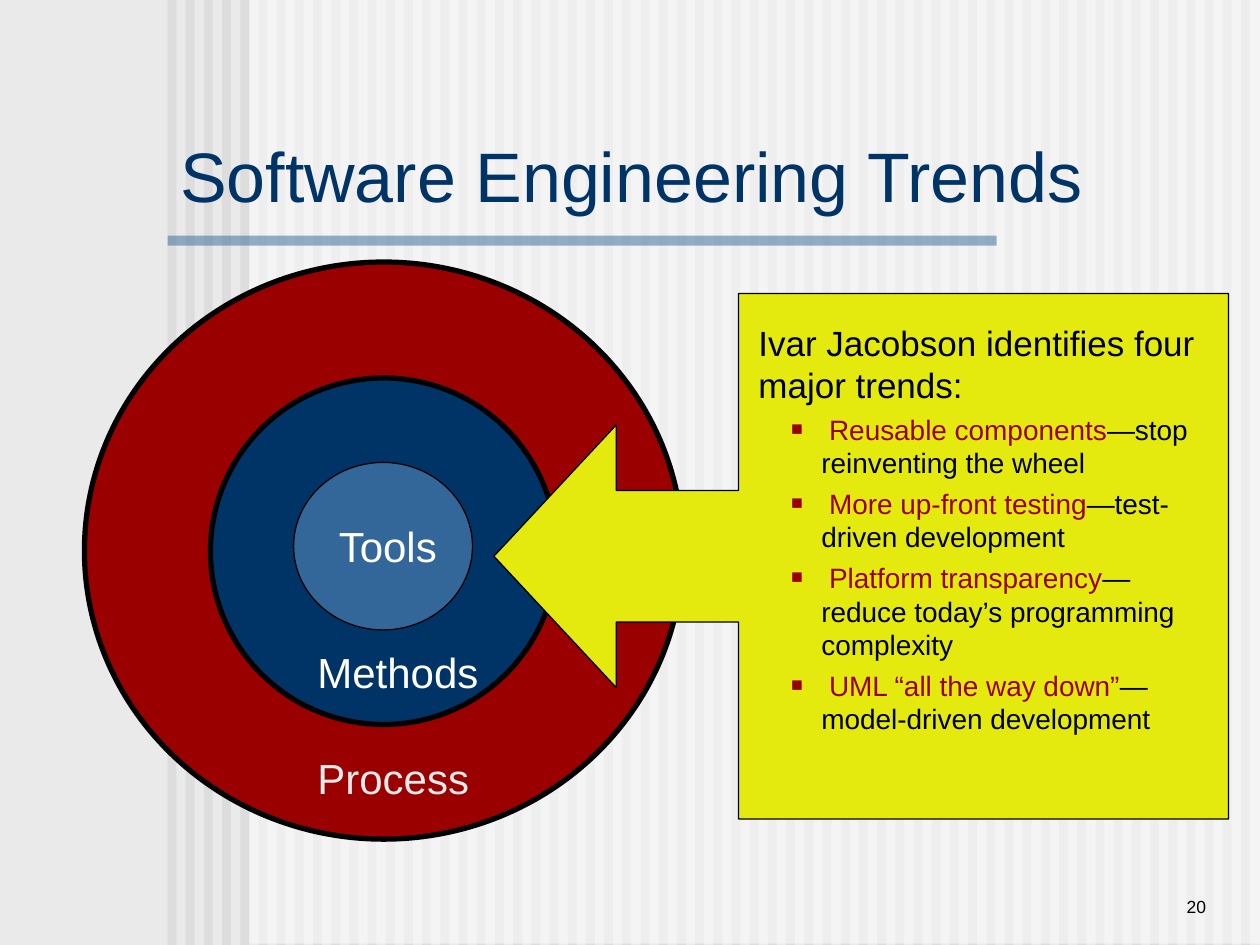
import pptx
import pptx.util
import pptx.dml.color
import pptx.enum.shapes
import pptx.enum.text
import pptx.oxml.ns
import pptx.oxml.xmlchemy

Inches = pptx.util.Inches
Pt = pptx.util.Pt
RGBColor = pptx.dml.color.RGBColor
SHAPE = pptx.enum.shapes.MSO_SHAPE
ANCHOR = pptx.enum.text.MSO_ANCHOR
ALIGN = pptx.enum.text.PP_ALIGN
AUTO_SIZE = pptx.enum.text.MSO_AUTO_SIZE

PALE = RGBColor(0xEA, 0xEA, 0xEA)
STRIPE = RGBColor(0xDD, 0xDD, 0xDD)
WHITE = RGBColor(0xFF, 0xFF, 0xFF)
BLACK = RGBColor(0x00, 0x00, 0x00)
NAVY = RGBColor(0x00, 0x33, 0x66)
BLUE = RGBColor(0x33, 0x66, 0x99)
RED = RGBColor(0x9A, 0x00, 0x00)
YELLOW = RGBColor(0xE4, 0xEA, 0x0E)

prs = pptx.Presentation()
prs.slide_width = Inches(10)
prs.slide_height = Inches(7.5)
slide = prs.slides.add_slide(prs.slide_layouts[5])
slide.background.fill.solid()
slide.background.fill.fore_color.rgb = PALE


def add_figure(preset, box, color, outline=None, alpha=None):
    figure = slide.shapes.add_shape(preset, *[Inches(v) for v in box])
    figure.shadow.inherit = False
    figure.fill.solid()
    figure.fill.fore_color.rgb = color
    if alpha:
        opacity = pptx.oxml.xmlchemy.OxmlElement("a:alpha")
        opacity.set("val", str(alpha * 1000))
        figure.element.spPr.find(".//" + pptx.oxml.ns.qn("a:srgbClr")).append(opacity)
    if outline:
        figure.line.color.rgb = BLACK
        figure.line.width = Pt(outline)
    else:
        figure.line.fill.background()
    return figure


def add_run(paragraph, text, size, color):
    run = paragraph.add_run()
    run.text = text
    for name, value in {"name": "Arial", "size": Pt(size)}.items():
        setattr(run.font, name, value)
    run.font.color.rgb = color


stripe_count = 60
stripe_step = (9.85 - 1.33) / (stripe_count - 1)
for i in range(stripe_count):
    add_figure(SHAPE.RECTANGLE, (1.33 + i * stripe_step, 0, 0.07, 7.5), STRIPE)
add_figure(SHAPE.RECTANGLE, (1.98, 0, 8.02, 7.49), WHITE, alpha=50)
add_figure(SHAPE.RECTANGLE, (1.33, 1.87, 6.58, 0.08), BLUE, alpha=50)

title = slide.shapes.title
title.element.getparent().append(title.element)
title_place = {"left": 1.33, "top": 1.08, "width": 8.42, "height": 0.69}
for name, value in title_place.items():
    setattr(title, name, Inches(value))
title.text_frame.vertical_anchor = ANCHOR.BOTTOM
title.text_frame.paragraphs[0].alignment = ALIGN.LEFT
add_run(title.text_frame.paragraphs[0], "Software Engineering Trends", 40, NAVY)

for box, color, outline in [
    ((0.67, 2.08, 4.75, 4.58), RED, 3),
    ((1.67, 3, 2.75, 2.75), NAVY, 3),
    ((2.33, 3.67, 1.42, 1.33), BLUE, 0.75),
]:
    add_figure(SHAPE.OVAL, box, color, outline)

ring_label = {"word_wrap": False, "auto_size": AUTO_SIZE.SHAPE_TO_FIT_TEXT}
page_number = {"word_wrap": True, "vertical_anchor": ANCHOR.BOTTOM}
for text, box, size, color, alignment, formats in [
    ("Tools", (2.59, 4.08, 1.01, 0.5), 24, WHITE, ALIGN.LEFT, ring_label),
    ("Methods", (2.42, 5.08, 1.48, 0.5), 24, WHITE, ALIGN.LEFT, ring_label),
    ("Process", (2.42, 5.92, 1.42, 0.5), 24, PALE, ALIGN.LEFT, ring_label),
    ("20", (8.25, 6.83, 1.42, 0.5), 10, BLACK, ALIGN.RIGHT, page_number),
]:
    frame = slide.shapes.add_textbox(*[Inches(v) for v in box]).text_frame
    for name, value in formats.items():
        setattr(frame, name, value)
    frame.paragraphs[0].alignment = alignment
    add_run(frame.paragraphs[0], text, size, color)

callout = add_figure(SHAPE.LEFT_ARROW_CALLOUT, (3.92, 2.33, 5.83, 4.17), YELLOW, 0.75)
for i, value in enumerate((0.25, 0.25, 0.233, 0.667)):
    callout.adjustments[i] = value

trends = slide.shapes.add_textbox(
    Inches(5.92), Inches(2.5), Inches(3.75), Inches(3.8)).text_frame
trends.word_wrap = True
intro = trends.paragraphs[0]
intro.space_before = Pt(5)
add_run(intro, "Ivar Jacobson identifies four major trends:", 20, BLACK)

bullet_format = {"level": 1, "space_before": Pt(4)}
for trend, detail in [
    (" Reusable components", "—stop reinventing the wheel"),
    (" More up-front testing", "—test-driven development"),
    (" Platform transparency", "— reduce today’s programming complexity"),
    (" UML “all the way down”", "— model-driven development"),
]:
    item = trends.add_paragraph()
    for name, value in bullet_format.items():
        setattr(item, name, value)
    add_run(item, trend, 16, RED)
    add_run(item, detail, 16, BLACK)
    properties = item._p.get_or_add_pPr()
    properties.set("marL", str(Inches(0.5)))
    properties.set("indent", str(Inches(-0.24)))
    bullet_color = pptx.oxml.xmlchemy.OxmlElement("a:buClr")
    bullet_srgb = pptx.oxml.xmlchemy.OxmlElement("a:srgbClr")
    bullet_srgb.set("val", str(RED))
    bullet_color.append(bullet_srgb)
    properties.append(bullet_color)
    for tag, key, value in [
        ("a:buSzPct", "val", "70000"),
        ("a:buFont", "typeface", "Arial"),
        ("a:buChar", "char", "■"),
    ]:
        part = pptx.oxml.xmlchemy.OxmlElement(tag)
        part.set(key, value)
        properties.append(part)

prs.save("out.pptx")
